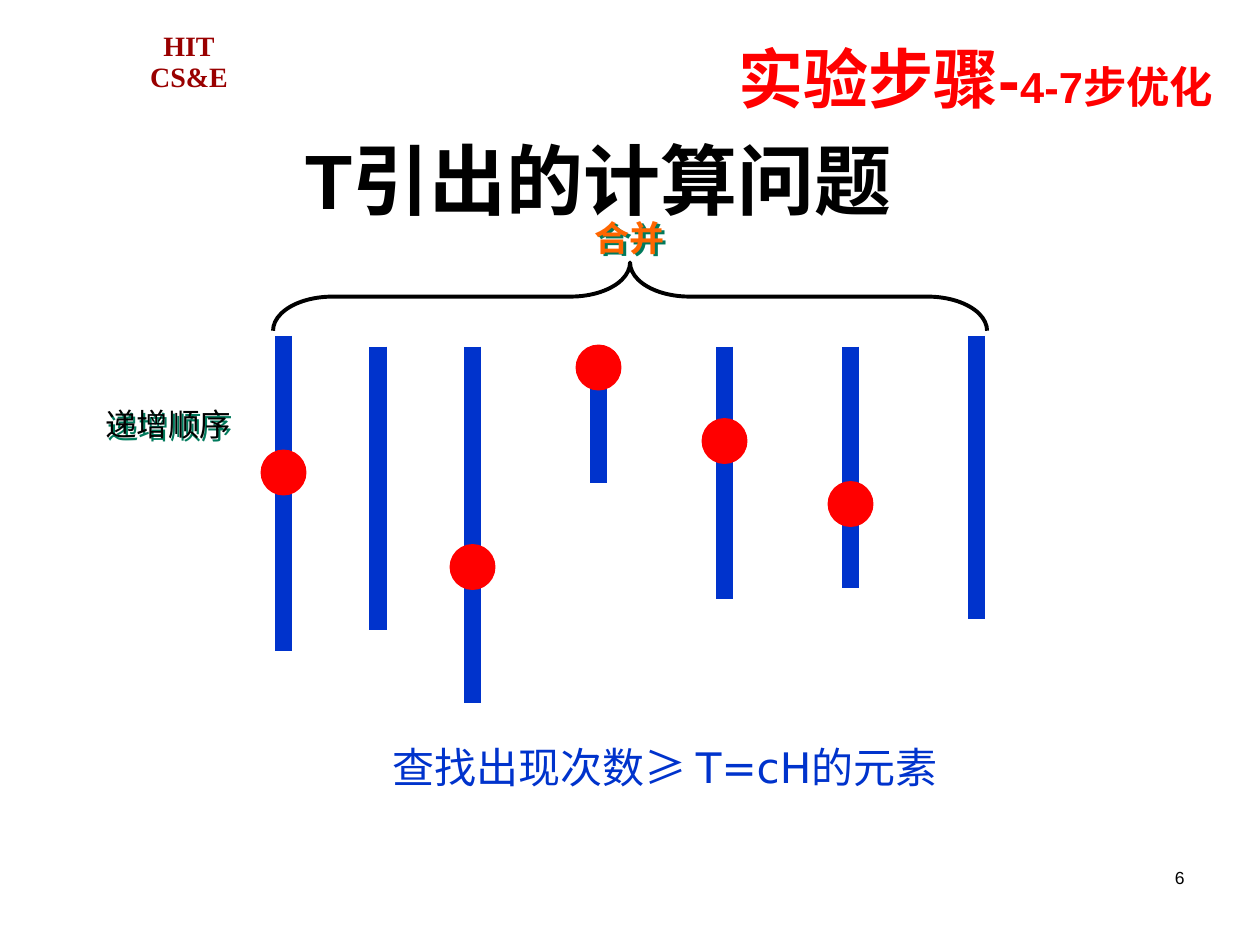
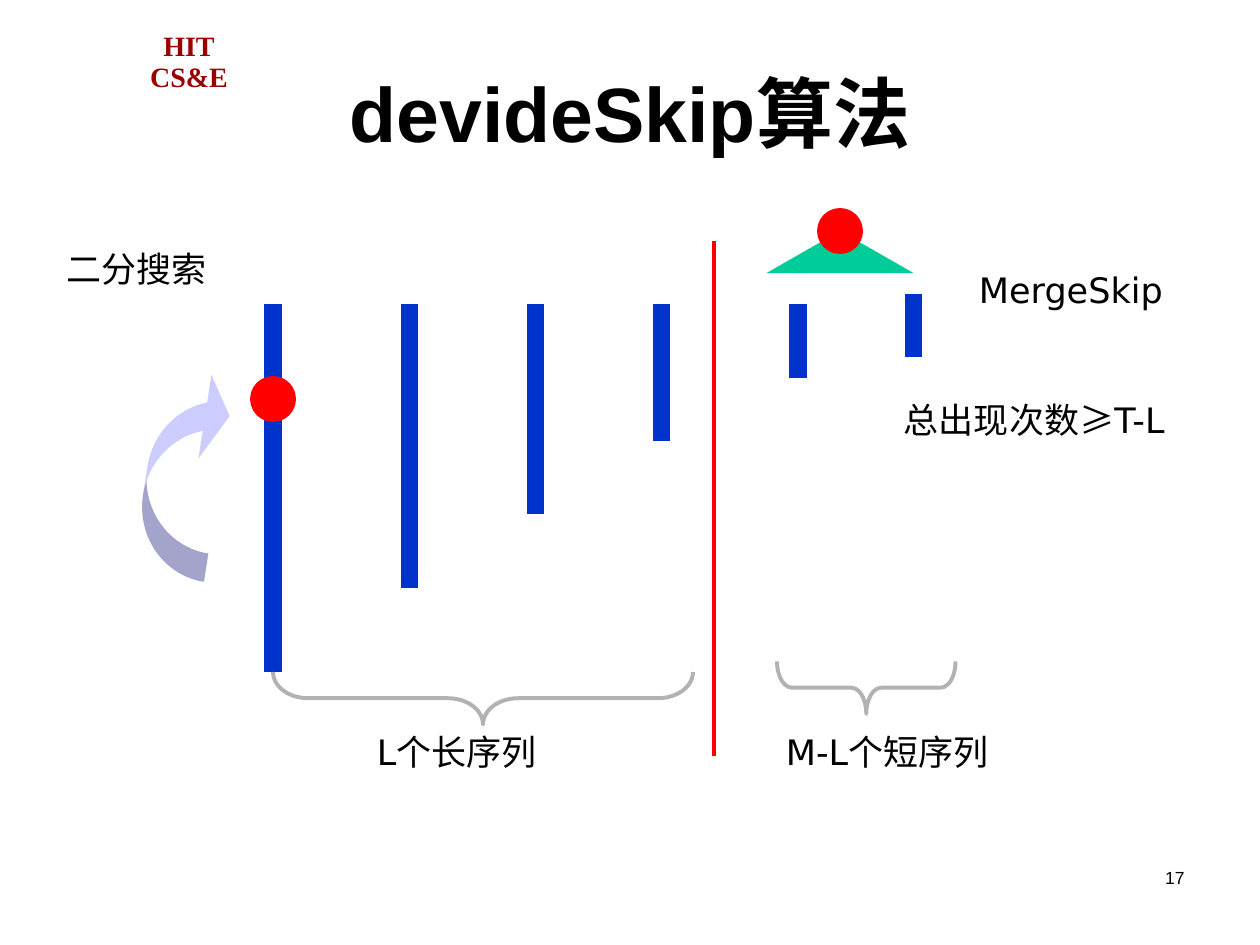
import pptx
import pptx.util
import pptx.dml.color
import pptx.enum.shapes
import pptx.enum.text
import pptx.oxml
import pptx.oxml.ns

Pt = pptx.util.Pt
SHAPE = pptx.enum.shapes.MSO_SHAPE
ALIGN = pptx.enum.text.PP_ALIGN
ANCHOR = pptx.enum.text.MSO_ANCHOR

COLORS = {
    "black": "000000", "red": "FF0000", "blue": "0033CC", "maroon": "990000",
    "orange": "FF6600", "grey": "B2B2B2", "green": "00CC99",
    "lavender": "CCCCFF", "shadow": "007A5C",
}
SANS, BODY, SERIF = "Arial", "DejaVu Sans", "Times New Roman"
DOT, BAR_WIDTH, THIN = 24, 10, 2.25

# Boxes are (left, top, width, height) in points; runs are (text, size, font).
# Lists are (x, top, bottom, centre of the marked element or None).
# Braces are (left, top, right, bottom, colour, direction).
MERGE = {
    "number": "6",
    "title": ("T引出的计算问题", (18, 42, 648, 90)),
    "lists": [
        (162, 192, 372, 270), (216, 198, 360, None), (270, 198, 402, 324),
        (342, 198, 276, 210), (414, 198, 342, 252), (486, 198, 336, 288),
        (558, 192, 354, None),
    ],
    "braces": [(156, 150, 564, 189, "black", "up")],
    "labels": [
        dict(runs=[("查找出现次数≥ T=cH的元素 ", 24, BODY)],
             box=(215, 420, 330, 36), color="blue"),
        dict(runs=[("递增顺序", 18, BODY)], box=(30, 228, 132, 29), shadow=True),
        dict(runs=[("合并", 20, BODY)], box=(216, 120, 288, 32),
             color="orange", bold=True, shadow=True),
        dict(runs=[("实验步骤-", 37.2, SANS), ("4-7步优化", 24.8, SANS)],
             box=(144.7, 17.3, 555.8, 54), color="red", bold=True,
             align=ALIGN.RIGHT, anchor=ANCHOR.MIDDLE),
    ],
}
DIVIDE_SKIP = {
    "number": "17",
    "title": ("devideSkip算法", (54, 3.6, 612, 90)),
    "lists": [
        (156, 174, 384, 228), (234, 174, 336, None), (306, 174, 294, None),
        (378, 174, 252, None), (456, 174, 216, None), (522, 168, 204, None),
    ],
    "braces": [(156, 384, 396, 414, "grey", "down"),
               (444, 378, 546, 408, "grey", "down")],
    "labels": [
        dict(runs=[("L个长序列", 20, BODY)], box=(126, 414, 270, 32)),
        dict(runs=[("M-L个短序列", 20, BODY)], box=(372, 414, 270, 32)),
        dict(runs=[("二分搜索", 20, BODY)], box=(-30, 138, 216, 32)),
        dict(runs=[("MergeSkip", 20, BODY)], box=(504, 150, 216, 32)),
        dict(runs=[("总出现次数", 20, BODY), ("≥", 20, SANS), ("T-L", 20, BODY)],
             box=(507, 224, 168, 32)),
    ],
}


def rgb(name):
    return pptx.dml.color.RGBColor.from_string(COLORS[name])


def points(values):
    return [Pt(value) for value in values]


def write(frame, runs, color="black", bold=False, align=ALIGN.CENTER,
          anchor=ANCHOR.TOP, spacing=None):
    """Fill a text frame with one paragraph; a newline becomes a line break."""
    frame.word_wrap = True
    frame.auto_size = pptx.enum.text.MSO_AUTO_SIZE.NONE
    frame.vertical_anchor = anchor
    paragraph = frame.paragraphs[0]
    paragraph.alignment = align
    if spacing:
        paragraph.line_spacing = spacing
    for text, size, font_name in runs:
        for i, line in enumerate(text.split("\n")):
            if i:
                paragraph.add_line_break()
            run = paragraph.add_run()
            run.text = line
            run.font.name = font_name
            run.font.size = Pt(size)
            run.font.bold = bold
            run.font.color.rgb = rgb(color)


def add_label(slide, runs, box, shadow=False, **style):
    label = slide.shapes.add_textbox(*points(box))
    write(label.text_frame, runs, **style)
    if shadow:
        label._element.spPr.append(pptx.oxml.parse_xml(
            f'<a:effectLst {pptx.oxml.ns.nsdecls("a")}>'
            '<a:outerShdw dist="25400" dir="2700000" algn="ctr" rotWithShape="0">'
            f'<a:srgbClr val="{COLORS["shadow"]}"/></a:outerShdw></a:effectLst>'))


def add_line(slide, x, top, bottom, color, width):
    line = slide.shapes.add_connector(
        pptx.enum.shapes.MSO_CONNECTOR.STRAIGHT, *points((x, top, x, bottom)))
    line.line.color.rgb = rgb(color)
    line.line.width = Pt(width)
    line._element.spPr.append(
        pptx.oxml.parse_xml(f'<a:effectLst {pptx.oxml.ns.nsdecls("a")}/>'))


def add_figure(slide, kind, box, fill=None, outline=None):
    figure = slide.shapes.add_shape(kind, *points(box))
    figure.shadow.inherit = False
    if fill:
        figure.fill.solid()
        figure.fill.fore_color.rgb = rgb(fill)
    else:
        figure.fill.background()
    if outline:
        figure.line.color.rgb = rgb(outline)
        figure.line.width = Pt(THIN)
    else:
        figure.line.fill.background()
    return figure


def add_dot(slide, x, y):
    add_figure(slide, SHAPE.OVAL, (x - DOT / 2, y - DOT / 2, DOT, DOT), "red", "red")


def add_brace(slide, left, top, right, bottom, color, direction):
    """Draw a horizontal brace as a vertical one turned a quarter."""
    span, depth = right - left, bottom - top
    kind = SHAPE.LEFT_BRACE if direction == "up" else SHAPE.RIGHT_BRACE
    box = ((left + right - depth) / 2, (top + bottom - span) / 2, depth, span)
    brace = add_figure(slide, kind, box, outline=color)
    brace.rotation = 90
    brace.adjustments[0] = span / depth / 12


def add_base_slide(deck, content):
    """Add a slide with its title, school mark, lists, braces, labels and number."""
    slide = deck.slides.add_slide(deck.slide_layouts[5])
    add_label(slide, [("HIT\nCS&E", 16, SERIF)], (72, 13.7, 72, 44),
              color="maroon", bold=True, anchor=ANCHOR.MIDDLE, spacing=0.95)
    text, box = content["title"]
    title = slide.shapes.title
    title.left, title.top, title.width, title.height = points(box)
    write(title.text_frame, [(text, 44, SANS)], bold=True, anchor=ANCHOR.BOTTOM)
    for x, top, bottom, marked in content["lists"]:
        add_line(slide, x, top, bottom, "blue", BAR_WIDTH)
        if marked:
            add_dot(slide, x, marked)
    for brace in content["braces"]:
        add_brace(slide, *brace)
    for label in content["labels"]:
        add_label(slide, **label)
    add_label(slide, [(content["number"], 10, SANS)], (516, 492, 168, 36),
              align=ALIGN.RIGHT)
    return slide


def add_search_marks(slide):
    """Add the divider, the binary search arrow and the heap of short lists."""
    add_line(slide, 408, 138, 432, "red", THIN)
    arrow = add_figure(slide, SHAPE.CURVED_DOWN_ARROW, (45, 249, 120, 42), "lavender")
    arrow.rotation = 278.8
    for i, share in enumerate((0.39, 1.15, 0.33)):
        arrow.adjustments[i] = share
    add_figure(slide, SHAPE.ISOSCELES_TRIANGLE, (438, 132, 84, 24), "green")
    add_dot(slide, 480, 132)


def main():
    deck = pptx.Presentation()
    deck.slide_width, deck.slide_height = Pt(720), Pt(540)
    add_base_slide(deck, MERGE)
    add_search_marks(add_base_slide(deck, DIVIDE_SKIP))
    deck.save("out.pptx")


if __name__ == "__main__":
    main()
